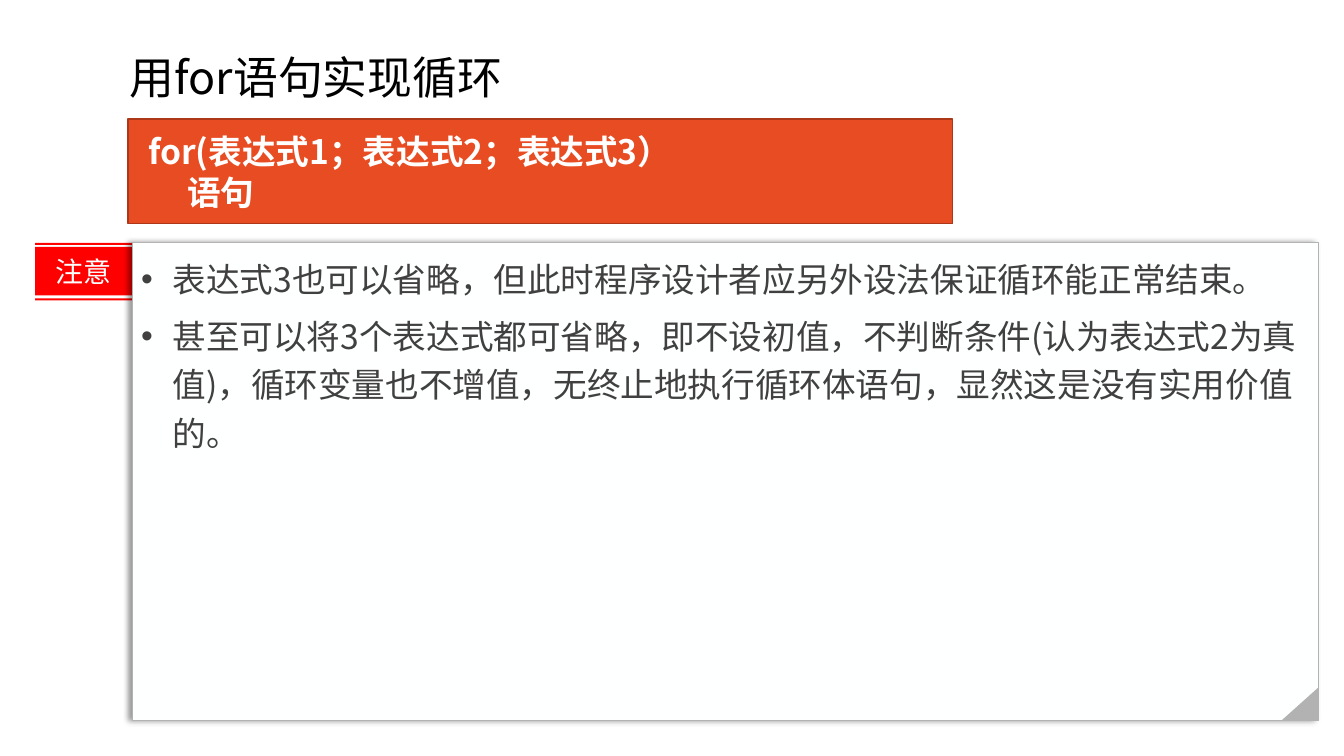
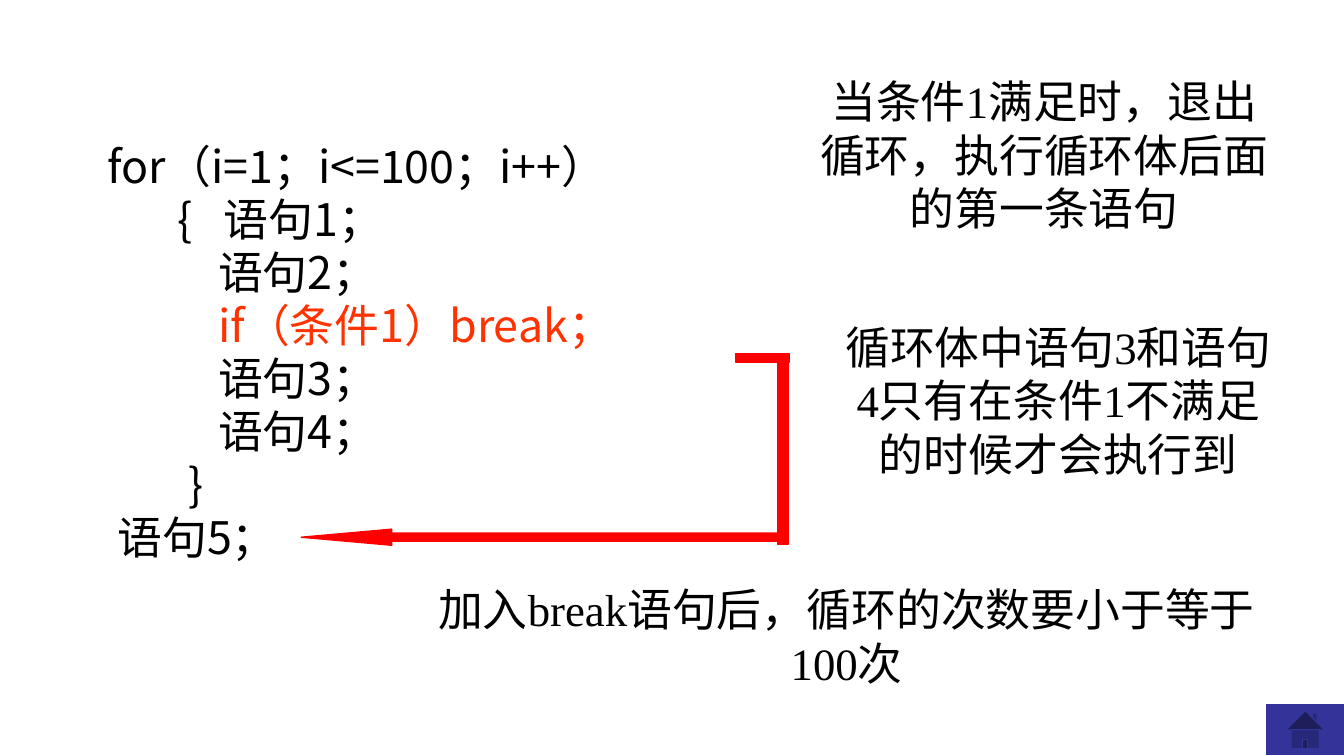
"""Two slides on the for statement: omitted expressions and leaving a loop with break."""
from lxml import etree
from pptx import Presentation
from pptx import util as u
from pptx.dml.color import RGBColor
from pptx.enum import shapes, text
from pptx.oxml import ns

Pt = u.Pt
rgb = RGBColor.from_string
MSO = shapes.MSO_SHAPE
MIDDLE, TOP = text.MSO_ANCHOR.MIDDLE, text.MSO_ANCHOR.TOP
LEFT, CENTER = text.PP_ALIGN.LEFT, text.PP_ALIGN.CENTER
SANS, SERIF = "Noto Sans CJK SC", "Times New Roman"
BLACK, WHITE, RED, GREY = "000000", "FEFFFF", "FF0000", "B2B2B2"


def add_shape(s, kind, box, fill, line=None, width=1):
    """Add a flat preset shape."""
    sp = s.shapes.add_shape(kind, *[Pt(v) for v in box])
    sp.shadow.inherit = False
    sp.fill.solid()
    sp.fill.fore_color.rgb = rgb(fill)
    if line:
        sp.line.color.rgb = rgb(line)
        sp.line.width = Pt(width)
    else:
        sp.line.fill.background()
    return sp


def write(sp, lines, size=32, color=BLACK, font=SANS, bold=False, align=LEFT,
          anchor=TOP, inset=(7.2, 3.6, 7.2, 3.6), spacing=1.0, before=0, after=0):
    """Write (text, left margin, first-line indent, colour) lines into a shape."""
    tf = sp.text_frame
    tf.word_wrap = True
    tf.vertical_anchor = anchor
    tf.margin_left, tf.margin_top, tf.margin_right, tf.margin_bottom = [Pt(v) for v in inset]
    for i, (words, margin, indent, own_color) in enumerate(lines):
        p = tf.paragraphs[0] if i == 0 else tf.add_paragraph()
        p.alignment = align
        p.line_spacing = spacing
        p.space_before, p.space_after = Pt(before), Pt(after)
        pPr = p._p.get_or_add_pPr()
        pPr.set("marL", str(Pt(margin)))
        pPr.set("indent", str(Pt(indent)))
        r = p.add_run()
        r.text = words
        r.font.size = Pt(size)
        r.font.bold = bold
        r.font.color.rgb = rgb(own_color or color)
        r.font.name = font
        etree.SubElement(r._r.get_or_add_rPr(), ns.qn("a:ea")).set("typeface", SANS)


prs = Presentation()
prs.slide_width, prs.slide_height = Pt(960), Pt(540)
blank = prs.slide_layouts[6]

s = prs.slides.add_slide(blank)
title = s.shapes.add_textbox(Pt(85.7), Pt(28.8), Pt(662.4), Pt(56.9))
write(title, [("用for语句实现循环", 0, 0, None)], anchor=MIDDLE, spacing=0.9)

syntax = add_shape(s, MSO.RECTANGLE, (91.4, 85, 589, 74.9), "E84C22", "AC3819")
write(syntax, [("for(表达式1；表达式2；表达式3）", 0, 0, None), ("语句", 28, 0, None)],
      size=24, color="FFFFFF", bold=True, anchor=MIDDLE, inset=(14.4, 3.6, 7.2, 3.6))

fb = None
for top, bottom in ((213.1, 214.6), (176.4, 211), (173.5, 175)):
    if fb is None:
        fb = s.shapes.build_freeform(Pt(25.2), Pt(top), scale=1.0)
    else:
        fb.move_to(Pt(25.2), Pt(top))
    fb.add_line_segments([(Pt(x), Pt(y)) for x, y in ((94.3, top), (94.3, bottom), (25.2, bottom))])
badge = fb.convert_to_shape()
badge.shadow.inherit = False
badge.fill.solid()
badge.fill.fore_color.rgb = rgb(RED)
badge.line.fill.background()
write(badge, [("注意", 0, 0, None)], size=20, color=WHITE, align=CENTER, anchor=MIDDLE)

note = add_shape(s, MSO.RECTANGLE, (95, 173.5, 846.7, 341.3), WHITE, GREY, 0.75)
effects = note._element.spPr.find(ns.qn("a:effectLst"))
shadow = etree.SubElement(effects, ns.qn("a:outerShdw"), blurRad=str(Pt(4)), dist=str(Pt(3)),
                          dir="10800000", algn="r", rotWithShape="0")
shade = etree.SubElement(shadow, ns.qn("a:srgbClr"), val=BLACK)
etree.SubElement(shade, ns.qn("a:alpha"), val="40000")
remarks = [
    "表达式3也可以省略，但此时程序设计者应另外设法保证循环能正常结束。",
    "甚至可以将3个表达式都可省略，即不设初值，不判断条件(认为表达式2为真值)，"
    "循环变量也不增值，无终止地执行循环体语句，显然这是没有实用价值的。",
]
write(note, [(words, 22.5, -22.5, None) for words in remarks], size=24, color="404040",
      inset=(5.8, 5.8, 5.8, 5.8), spacing=1.2, after=6)
for p in note.text_frame.paragraphs:
    pPr = p._p.get_or_add_pPr()
    etree.SubElement(pPr, ns.qn("a:buFont"), typeface="Arial")
    etree.SubElement(pPr, ns.qn("a:buChar"), char="•")
fold = add_shape(s, MSO.RIGHT_TRIANGLE, (916.6, 489.6, 23.8, 26.6), GREY)
fold.rotation = 270

s = prs.slides.add_slide(blank)
code = s.shapes.add_textbox(Pt(33.8), Pt(100.1), Pt(544.3), Pt(391))
write(code, [
    ("for（i=1；i<=100；i++）", 36, 0, None),
    ("{\t语句1；", 119, -33, None),
    ("语句2；", 115, 0, None),
    ("if（条件1）break；", 115, 0, "FF3300"),
    ("语句3；", 115, 0, None),
    ("语句4；", 115, 0, None),
    ("}", 93.5, 0, None),
    ("语句5；", 43, 0, None),
], spacing=0.9, before=3.2)

add_shape(s, MSO.ACTION_BUTTON_HOME, (904.3, 503.3, 56.2, 36), "333399", "333399", 0.75)

for words, box in (
    ("循环体中语句3和语句4只有在条件1不满足的时候才会执行到", (593.3, 224.6, 325.4, 123.8)),
    ("当条件1满足时，退出循环，执行循环体后面的第一条语句", (571, 49, 349.9, 123.8)),
    ("加入break语句后，循环的次数要小于等于100次", (298.8, 411.8, 612, 84.2)),
):
    caption = s.shapes.add_textbox(*[Pt(v) for v in box])
    write(caption, [(words, 0, 0, None)], font=SERIF, align=CENTER)

for kind, box in (
    (MSO.RECTANGLE, (525.6, 252.7, 38.2, 5.8)),
    (MSO.RECTANGLE, (555.8, 252.7, 7.2, 136.1)),
    (MSO.LEFT_ARROW, (215.3, 378, 340.6, 11.5)),
):
    sp = add_shape(s, kind, box, RED, RED)
sp.adjustments[0], sp.adjustments[1] = 0.5, 5.61

prs.save("out.pptx")
